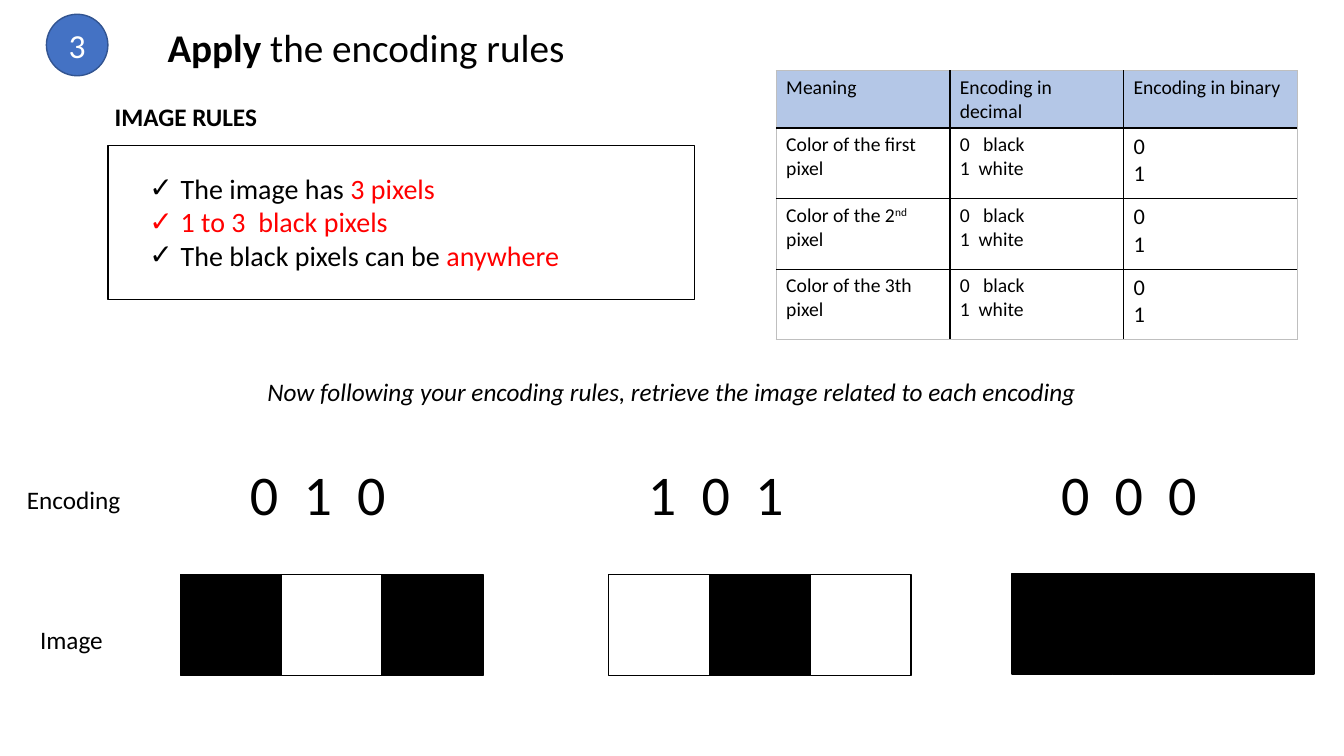
from lxml.etree import SubElement
from pptx import Presentation
from pptx.dml.color import RGBColor
from pptx.enum.shapes import MSO_SHAPE as Shape
from pptx.enum.text import MSO_ANCHOR as Anchor, MSO_AUTO_SIZE as AutoSize, PP_ALIGN as Align
from pptx.oxml.ns import qn
from pptx.util import Cm, Pt

COLORS = {"black": "000000", "white": "FFFFFF", "red": "FF0000", "badge": "4472C4",
          "badge_line": "325491", "header": "B4C7E7", "frame": "BFBFBF"}
RULES = [
    [("The image has ", "black"), ("3 pixels", "red")],
    [("1 to 3  black pixels", "red")],
    [("The black pixels can be ", "black"), ("anywhere", "red")],
]
HEADERS = ["Meaning", "Encoding in decimal", "Encoding in binary"]
MEANINGS = [[("Color of the first pixel", False)],
            [("Color of the 2", False), ("nd", True), ("  pixel", False)],
            [("Color of the 3th  pixel", False)]]
DECIMAL = ["0   black", "1  white"]
BINARY = ["0", "1"]
EXERCISES = [("010", 4.55, 14.48, 1.5), ("101", 15.34, 14.48, 0.74), ("000", 25.5, 14.45, 0.99)]


def rgb(name):
    return RGBColor.from_string(COLORS[name])


def style(paragraph, size, color="black", bold=False, italic=False):
    font = paragraph.font
    font.name, font.size, font.bold, font.italic = "Calibri", Pt(size), bold, italic
    font.color.rgb = rgb(color)


def add_box(slide, kind, box, fill, line="black"):
    shape = slide.shapes.add_shape(kind, *map(Cm, box))
    shape.shadow.inherit = False
    if fill:
        shape.fill.solid()
        shape.fill.fore_color.rgb = rgb(fill)
    else:
        shape.fill.background()
    shape.line.color.rgb = rgb(line)
    shape.line.width = Pt(1)
    return shape


def add_label(slide, box, text, size, wrap=False, align=Align.LEFT, **looks):
    frame = slide.shapes.add_textbox(*map(Cm, box)).text_frame
    frame.word_wrap = wrap
    paragraph = frame.paragraphs[0]
    paragraph.text = text
    paragraph.alignment = align
    style(paragraph, size, **looks)


def place(placeholder, box):
    placeholder.left, placeholder.top, placeholder.width, placeholder.height = map(Cm, box)
    frame = placeholder.text_frame
    frame.auto_size = AutoSize.NONE
    frame.word_wrap = True
    frame.vertical_anchor = Anchor.TOP
    return frame


def add_heading(slide, box):
    left, top, width, height = box
    badge = add_box(slide, Shape.OVAL, (left, top, height, height), "badge", "badge_line")
    badge.text_frame.vertical_anchor = Anchor.MIDDLE
    number = badge.text_frame.paragraphs[0]
    number.text = "3"
    number.alignment = Align.CENTER
    style(number, 24, "white")

    title = place(slide.shapes.title, (left + 2.34, top + 0.1, width - 2.34, 1.45)).paragraphs[0]
    title.alignment = Align.CENTER
    style(title, 28)
    for words, bold in [("Apply", True), (" the encoding rules", False)]:
        run = title.add_run()
        run.text = words
        run.font.bold = bold


def add_rules(slide, box):
    left, top, width, height = box
    add_label(slide, (left - 0.08, top - 1.22, 4.14, 1.02), "IMAGE RULES", 18, bold=True)
    frame = place(slide.placeholders[1], (left + 0.79, top + 0.53, width - 3, 2.82))
    for index, parts in enumerate(RULES):
        rule = frame.add_paragraph() if index else frame.paragraphs[0]
        rule.space_before = Pt(0)
        style(rule, 20)
        properties = rule._p.get_or_add_pPr()
        properties.set("marL", str(Cm(0.79)))
        properties.set("indent", str(-Cm(0.79)))
        bullet = properties.makeelement(qn("a:buChar"), {"char": "✓"})
        properties.find(qn("a:defRPr")).addprevious(bullet)
        for words, color in parts:
            run = rule.add_run()
            run.text = words
            run.font.color.rgb = rgb(color)
    add_box(slide, Shape.RECTANGLE, box, None)


def set_borders(cell, row, column, last_row, last_column):
    frame, thin, thick = ("frame", 0.5), ("black", 1), ("black", 1.5)
    sides = {
        "a:lnL": frame if column == 0 else thick if column == 1 else thin,
        "a:lnR": frame if column == last_column else thick if column == 0 else thin,
        "a:lnT": frame if row == 0 else thick if row == 1 else thin,
        "a:lnB": frame if row == last_row else thick if row == 0 else thin,
    }
    properties = cell._tc.get_or_add_tcPr()
    for position, (side, (color, width)) in enumerate(sides.items()):
        line = properties.makeelement(qn(side), {"w": str(Pt(width))})
        properties.insert(position, line)
        fill = SubElement(line, qn("a:solidFill"))
        SubElement(fill, qn("a:srgbClr"), val=COLORS[color])


def fill_cell(cell, lines, size):
    for index, parts in enumerate(lines):
        paragraph = cell.text_frame.add_paragraph() if index else cell.text_frame.paragraphs[0]
        style(paragraph, size)
        for words, raised in parts:
            run = paragraph.add_run()
            run.text = words
            if raised:
                run._r.get_or_add_rPr().set("baseline", "30000")


def add_code_table(slide, box):
    plain = lambda lines: [[(line, False)] for line in lines]
    rows = [[(plain([header]), 14) for header in HEADERS]]
    rows += [[([meaning], 14), (plain(DECIMAL), 14), (plain(BINARY), 16)] for meaning in MEANINGS]
    table = slide.shapes.add_table(len(rows), len(HEADERS), *map(Cm, box)).table
    for row, cells in enumerate(rows):
        table.rows[row].height = Cm(1.78 if row else 1.14)
        for column, (lines, size) in enumerate(cells):
            cell = table.cell(row, column)
            fill_cell(cell, lines, size)
            cell.fill.solid()
            cell.fill.fore_color.rgb = rgb("white" if row else "header")
            set_borders(cell, row, column, len(rows) - 1, len(HEADERS) - 1)


def add_exercise(slide, box, code, code_indent):
    left, top, width, height = box
    pixel = width / len(code)
    for index, bit in enumerate(code):
        add_box(slide, Shape.RECTANGLE, (left + index * pixel, top, pixel, height),
                "white" if bit == "1" else "black")
    add_label(slide, (left + code_indent, 11.46, 3.96, 1.96), "  ".join(code), 40)


def main():
    deck = Presentation()
    deck.slide_width, deck.slide_height = Cm(33.87), Cm(19.05)
    slide = deck.slides.add_slide(deck.slide_layouts[1])
    add_heading(slide, (1.17, 0.36, 13.77, 1.55))
    add_rules(slide, (2.72, 3.66, 14.78, 3.89))
    add_code_table(slide, (19.56, 1.78, 13.13, 6.48))
    add_label(slide, (5.03, 9.37, 23.8, 1.02),
              "Now following your encoding rules, retrieve the image related to each encoding",
              18, wrap=True, align=Align.CENTER, italic=True)
    add_label(slide, (0.43, 12.07, 2.9, 1.02), "Encoding", 18)
    add_label(slide, (0.76, 15.6, 2.11, 1.02), "Image", 18)
    for code, left, top, code_indent in EXERCISES:
        add_exercise(slide, (left, top, 7.62, 2.54), code, code_indent)
    deck.save("out.pptx")


if __name__ == "__main__":
    main()
